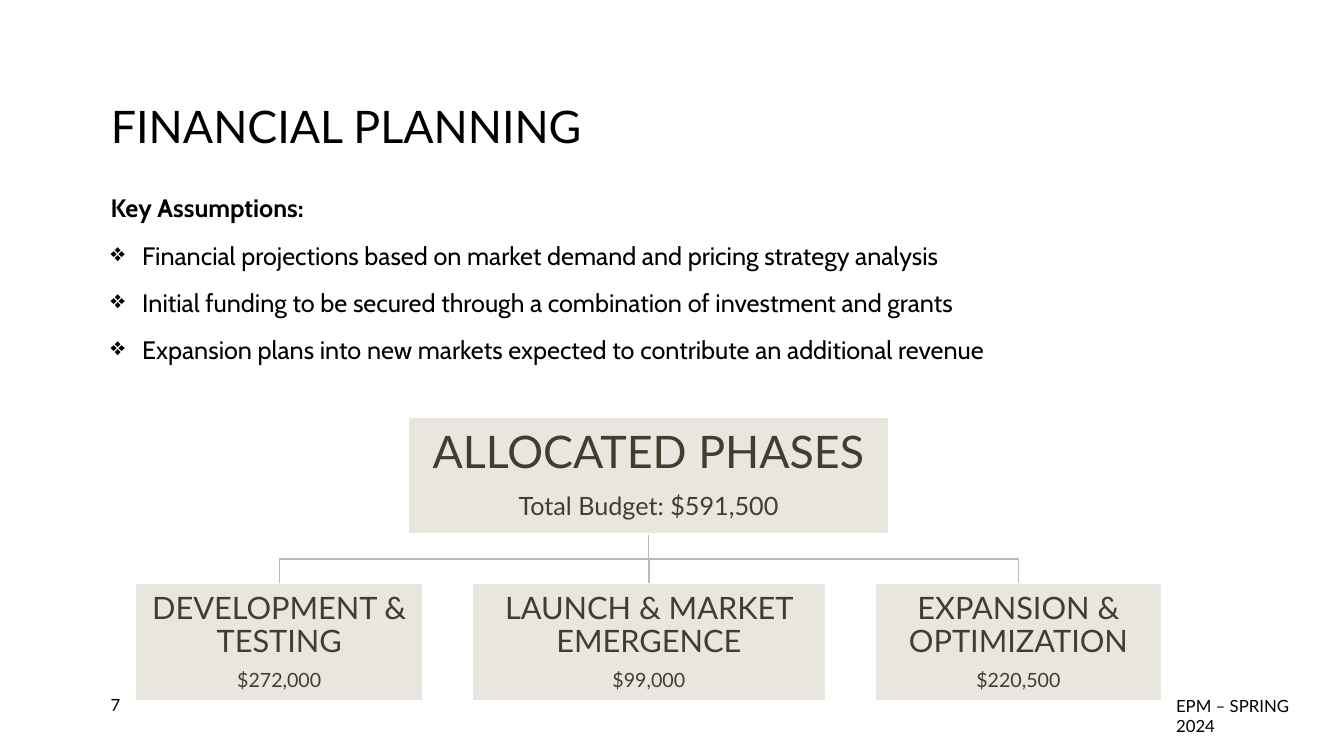
from dataclasses import dataclass

from lxml import etree
from pptx import Presentation
from pptx.dml.color import RGBColor
from pptx.enum import shapes, text
from pptx.oxml import ns
from pptx.util import Pt


@dataclass(frozen=True)
class Theme:
    ink: RGBColor = RGBColor(0x00, 0x00, 0x00)
    box_fill: RGBColor = RGBColor(0xE9, 0xE6, 0xDF)
    box_line: RGBColor = RGBColor(0xFF, 0xFF, 0xFF)
    box_ink: RGBColor = RGBColor(0x44, 0x3D, 0x2E)
    branch: RGBColor = RGBColor(0xBB, 0xB8, 0xB3)
    heading_font: str = "Lato"
    body_font: str = "Cabin"
    title_size: int = 32
    phase_size: int = 22
    body_size: int = 18
    amount_size: int = 14
    footer_size: int = 12


theme = Theme()


def style(paragraph, size, color=theme.ink, name=theme.heading_font, bold=False):
    paragraph.font.size = Pt(size)
    paragraph.font.color.rgb = color
    paragraph.font.name = name
    paragraph.font.bold = bold


def add_box(left, top, width, height, lines):
    """Add a budget box; lines holds (wording, size) pairs."""
    shape = slide.shapes.add_shape(
        shapes.MSO_SHAPE.RECTANGLE, Pt(left), Pt(top), Pt(width), Pt(height))
    shape.shadow.inherit = False
    shape.fill.solid()
    shape.fill.fore_color.rgb = theme.box_fill
    shape.line.color.rgb = theme.box_line
    shape.line.width = Pt(1)
    frame = shape.text_frame
    frame.word_wrap = True
    frame.vertical_anchor = text.MSO_ANCHOR.MIDDLE
    frame.margin_left = frame.margin_right = Pt(1.4)
    frame.margin_top = frame.margin_bottom = Pt(1.4)
    frame.text = "\n".join(wording for wording, size in lines)
    for paragraph, (wording, size) in zip(frame.paragraphs, lines):
        style(paragraph, size, theme.box_ink)
        paragraph.alignment = text.PP_ALIGN.CENTER
        paragraph.line_spacing = 0.9
        paragraph.space_after = Pt(round(0.35 * size, 1))


presentation = Presentation()
presentation.slide_width = Pt(960)
presentation.slide_height = Pt(540)
slide = presentation.slides.add_slide(presentation.slide_layouts[5])

# Title
title = slide.shapes.title
title.left, title.top, title.width, title.height = Pt(72), Pt(29), Pt(816), Pt(126)
title.text_frame.text = "FINANCIAL PLANNING"
title.text_frame.auto_size = text.MSO_AUTO_SIZE.NONE
title.text_frame.vertical_anchor = text.MSO_ANCHOR.MIDDLE
heading = title.text_frame.paragraphs[0]
heading.alignment = text.PP_ALIGN.LEFT
heading.line_spacing = 0.9
style(heading, theme.title_size)

# Key assumptions
assumptions = [
    "Key Assumptions:",
    "Financial projections based on market demand and pricing strategy analysis",
    "Initial funding to be secured through a combination of investment and grants",
    "Expansion plans into new markets expected to contribute an additional revenue",
]
body = slide.shapes.add_textbox(Pt(72), Pt(132), Pt(683), Pt(138)).text_frame
body.word_wrap = True
body.text = "\n".join(assumptions)
for index, paragraph in enumerate(body.paragraphs):
    style(paragraph, theme.body_size, name=theme.body_font, bold=index == 0)
    paragraph.line_spacing = 1.1
    paragraph.space_before = Pt(10)
    if index > 0:
        properties = paragraph._p.get_or_add_pPr()
        properties.set("marL", str(Pt(22.5)))
        properties.set("indent", str(-Pt(22.5)))
        etree.SubElement(properties, ns.qn("a:buChar")).set("char", "❖")

# Budget tree: branches first, boxes over them
phases = [
    ("DEVELOPMENT & TESTING", "$272,000", 205),
    ("LAUNCH & MARKET EMERGENCE", "$99,000", 253),
    ("EXPANSION & OPTIMIZATION", "$220,500", 205),
]
total_left, total_top, total_width = 291.6, 298, 343.4
box_height, phase_top, phase_gap = 83.5, 417, 35
total_center = total_left + total_width / 2
total_bottom = total_top + box_height
branch_middle = (total_bottom + phase_top) / 2

phase_left = 97
phase_boxes = []
for name, amount, width in phases:
    center = phase_left + width / 2
    builder = slide.shapes.build_freeform(Pt(total_center), Pt(total_bottom))
    builder.add_line_segments(
        [(Pt(total_center), Pt(branch_middle)), (Pt(center), Pt(branch_middle)),
         (Pt(center), Pt(phase_top))], close=False)
    branch = builder.convert_to_shape()
    branch.shadow.inherit = False
    branch.fill.background()
    branch.line.color.rgb = theme.branch
    branch.line.width = Pt(1)
    phase_boxes.append((phase_left, width, name, amount))
    phase_left += width + phase_gap

add_box(total_left, total_top, total_width, box_height,
        [("ALLOCATED PHASES", theme.title_size),
         ("Total Budget: $591,500", theme.body_size)])
for left, width, name, amount in phase_boxes:
    add_box(left, phase_top, width, box_height,
            [(name, theme.phase_size), (amount, theme.amount_size)])

# Slide number and footer
for wording, left, top, width in [("7", 72, 492, 50),
                                  ("EPM – SPRING 2024", 833, 500, 124)]:
    footer = slide.shapes.add_textbox(Pt(left), Pt(top), Pt(width), Pt(23)).text_frame
    footer.word_wrap = True
    footer.vertical_anchor = text.MSO_ANCHOR.MIDDLE
    footer.text = wording
    style(footer.paragraphs[0], theme.footer_size)

presentation.save("out.pptx")
